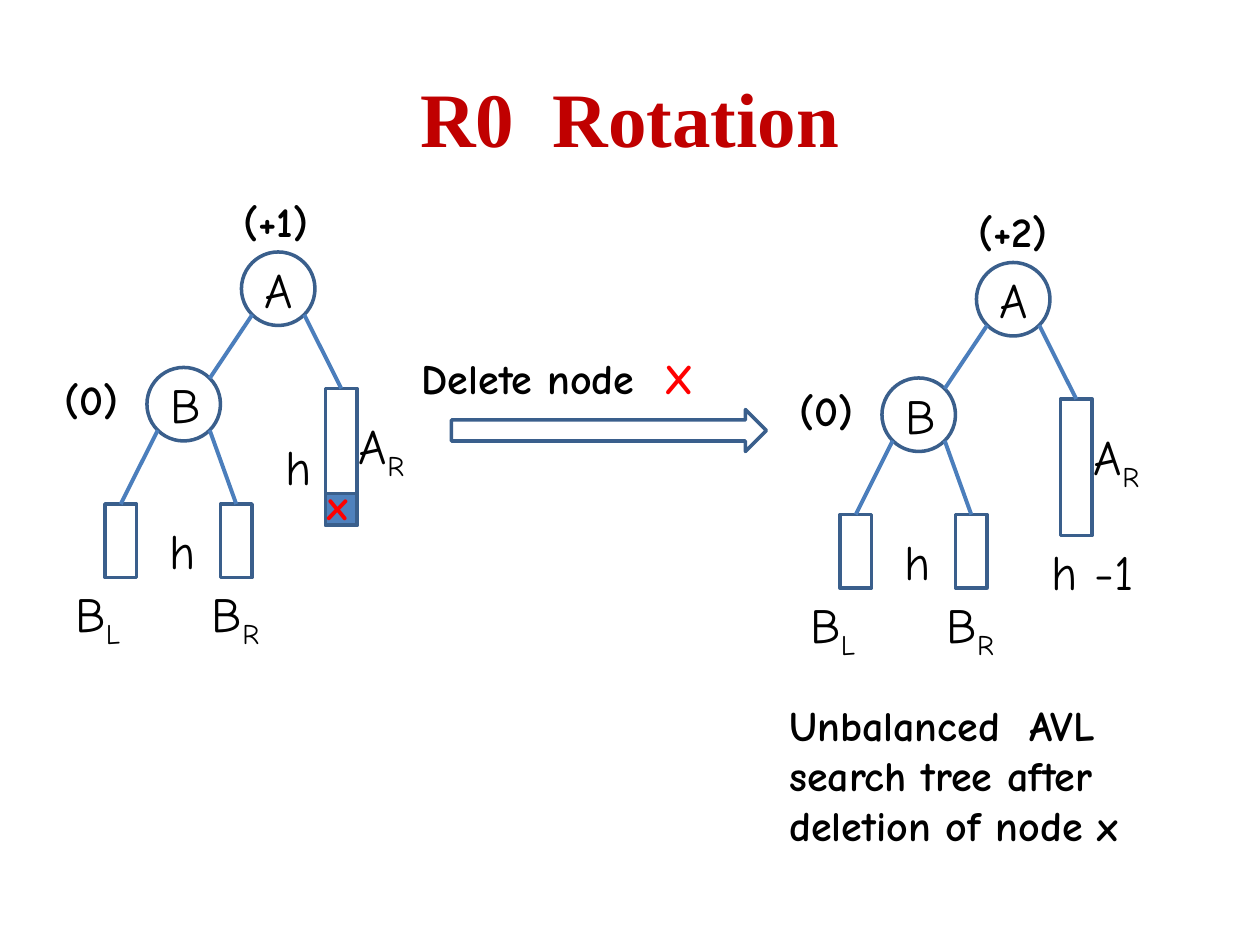
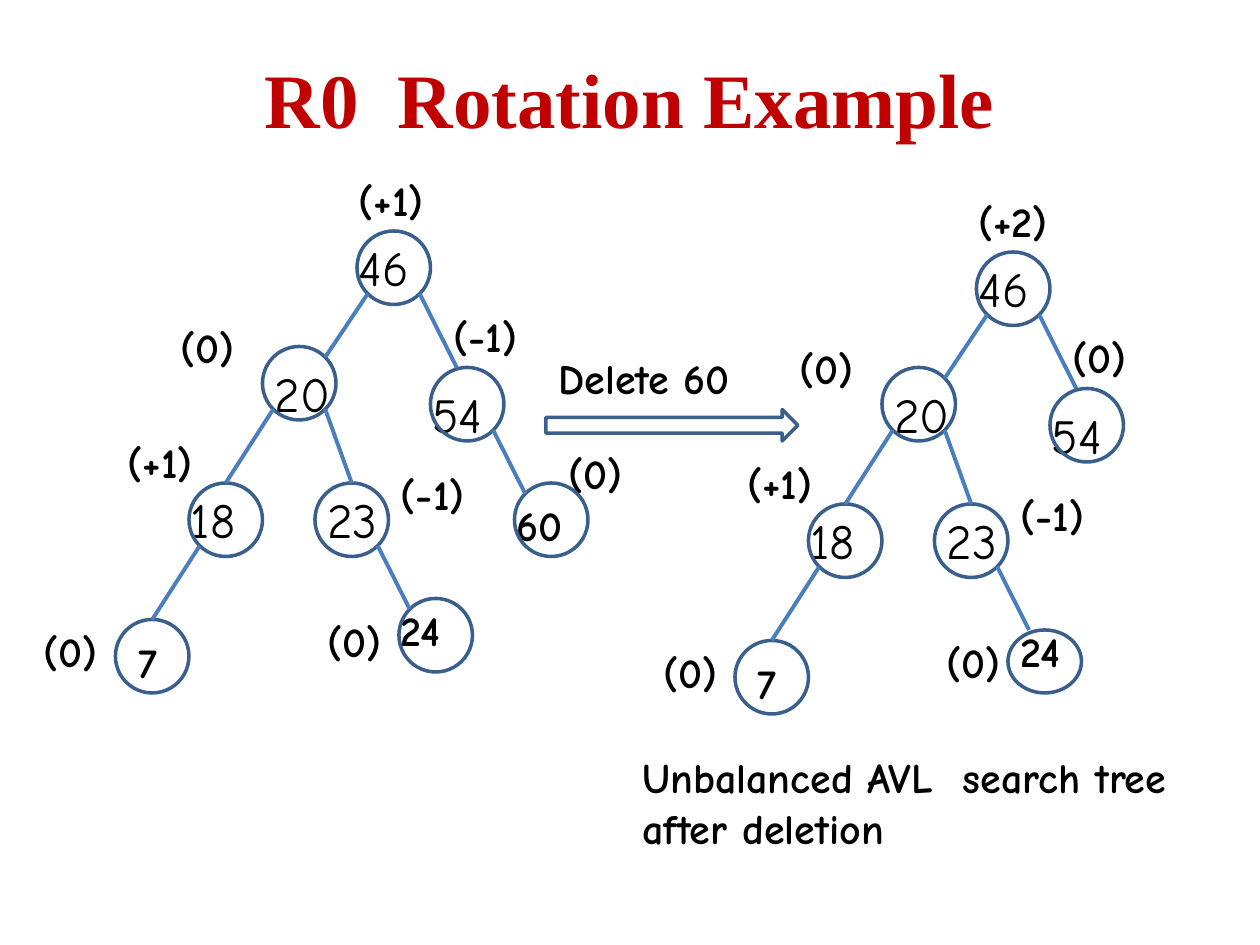
from pptx import Presentation
from pptx.dml.color import RGBColor
from pptx.enum.shapes import MSO_CONNECTOR, MSO_SHAPE as Preset
from pptx.enum.text import MSO_ANCHOR, PP_ALIGN
from pptx.oxml.ns import qn
from pptx.util import Pt
from lxml.etree import SubElement

TITLE_RED = RGBColor(0xC0, 0x00, 0x00)
RED = RGBColor(0xFF, 0x00, 0x00)
BLACK = RGBColor(0x00, 0x00, 0x00)
OUTLINE = RGBColor(0x3A, 0x5F, 0x8C)
EDGE = RGBColor(0x4B, 0x7E, 0xBC)
DELETED = RGBColor(0x4F, 0x81, 0xBD)
HAND, SERIF = "Comic Neue", "Times New Roman"
NODE, NOTE = 28, 24
D = 42
NEAR, FAR = 6.15, 35.85
TOP_LEFT, TOP_RIGHT, TOP = (NEAR, NEAR), (FAR, NEAR), (D / 2, 0)
BAR_TOP = (9, 0)


def outline(shapes, preset, x, y, w, h):
    shape = shapes.add_shape(preset, Pt(x), Pt(y), Pt(w), Pt(h))
    shape.shadow.inherit = False
    shape.fill.background()
    shape.line.color.rgb = OUTLINE
    shape.line.width = Pt(2)
    return shape


def write(shape, size, text, color=BLACK, baseline=None):
    shape.text_frame.word_wrap = True
    run = shape.text_frame.paragraphs[0].add_run()
    run.text = text
    run.font.name = HAND
    run.font.size = Pt(size)
    run.font.bold = size == NOTE
    run.font.color.rgb = color
    if baseline:
        run.font._element.set("baseline", str(baseline))


scheme_nodes = {
    "A": (Preset.OVAL, 138, 144, D, D),
    "B": (Preset.OVAL, 84, 210, D, D),
    "AR": (Preset.RECTANGLE, 186, 222, 18, 78),
    "BR": (Preset.RECTANGLE, 126, 288, 18, 42),
    "BL": (Preset.RECTANGLE, 60, 288, 18, 42),
}
scheme_edges = [
    ("A", NEAR, "B", TOP_RIGHT),
    ("B", NEAR, "BL", BAR_TOP),
    ("B", FAR, "BR", BAR_TOP),
    ("A", FAR, "AR", BAR_TOP),
]
scheme_labels = [
    (198, 234, 60, NODE, "A", "R"),
    (90, 294, 24, NODE, "h", ""),
    (36, 330, 60, NODE, "B", "L"),
    (114, 330, 60, NODE, "B", "R"),
    (30, 210, 48, NOTE, "(0)", ""),
]

example_nodes = {
    key: (Preset.OVAL, x, y, D, D)
    for key, x, y in [
        ("46", 204, 132), ("20", 150, 198), ("54", 246, 210),
        ("18", 108, 276), ("23", 180, 276), ("7", 66, 354),
    ]
}
example_edges = [
    ("46", NEAR, "20", TOP_RIGHT),
    ("46", FAR, "54", (15, 0)),
    ("20", NEAR, "18", TOP),
    ("20", FAR, "23", TOP),
    ("18", NEAR, "7", TOP),
]
example_labels = [
    (198, 132, 78, NODE, "46", ""),
    (150, 204, 54, NODE, "20", ""),
    (240, 216, 90, NODE, "54", ""),
    (102, 276, 54, NODE, "18", ""),
    (180, 276, 54, NODE, "23", ""),
    (72, 360, 42, NOTE, "7", ""),
    (222, 342, 48, NOTE, "24", ""),
    (96, 180, 66, NOTE, "(0)", ""),
    (66, 246, 90, NOTE, "(+1)", ""),
    (222, 264, 90, NOTE, "(-1)", ""),
    (18, 354, 90, NOTE, "(0)", ""),
    (180, 348, 48, NOTE, "(0)", ""),
]

scheme_before = (
    (0, 0), scheme_nodes, scheme_edges,
    scheme_labels + [(132, 108, 90, NOTE, "(+1)", ""), (156, 246, 24, NODE, "h", "")],
)
scheme_after = (
    (420, 6), scheme_nodes, scheme_edges,
    scheme_labels + [
        (132, 108, 90, NOTE, "(+2)", ""),
        (174, 300, 90, NODE, "h -1", ""),
        (24, 390, 228, NOTE, "Unbalanced  AVL search tree after deletion of node x", ""),
    ],
)
example_before = (
    (0, 0),
    example_nodes | {"24": (Preset.OVAL, 228, 342, D, D), "60": (Preset.OVAL, 294, 276, D, D)},
    example_edges + [("54", FAR, "60", TOP_LEFT), ("23", FAR, "24", TOP_LEFT)],
    example_labels + [
        (198, 96, 78, NOTE, "(+1)", ""),
        (252, 174, 90, NOTE, "(-1)", ""),
        (288, 282, 54, NOTE, "60", ""),
        (318, 252, 90, NOTE, "(0)", ""),
    ],
)
example_after = (
    (354, 12),
    example_nodes | {"24": (Preset.OVAL, 222, 348, D, 36)},
    example_edges + [("23", FAR, "24", (12, 0))],
    example_labels + [
        (198, 96, 78, NOTE, "(+2)", ""),
        (252, 174, 54, NOTE, "(0)", ""),
        (6, 414, 330, NOTE, "Unbalanced AVL  search tree after deletion", ""),
    ],
)

deck = Presentation()
deck.slide_width, deck.slide_height = Pt(720), Pt(540)

pages = [
    ("R0  Rotation", 90, (258, 234, 180, 24), (234, 210), "Delete node  ", "X",
     [scheme_before, scheme_after]),
    ("R0  Rotation Example", 68.4, (312, 234, 144, 18), (312, 174), "Delete 60", "",
     [example_before, example_after]),
]

for heading, heading_height, arrow, (action_x, action_w), action, target, trees in pages:
    slide = deck.slides.add_slide(deck.slide_layouts[5])
    title = slide.shapes.title
    title.left, title.top, title.width, title.height = Pt(36), Pt(21.6), Pt(648), Pt(heading_height)
    title.text_frame.vertical_anchor = MSO_ANCHOR.MIDDLE
    title.text_frame.paragraphs[0].alignment = PP_ALIGN.CENTER
    heading_run = title.text_frame.paragraphs[0].add_run()
    heading_run.text = heading
    heading_run.font.name = SERIF
    heading_run.font.size = Pt(44)
    heading_run.font.bold = True
    heading_run.font.color.rgb = TITLE_RED

    outline(slide.shapes, Preset.RIGHT_ARROW, *arrow)
    deletion = slide.shapes.add_textbox(Pt(action_x), Pt(198), Pt(action_w), Pt(36))
    write(deletion, NOTE, action)
    if target:
        write(deletion, NOTE, target, RED)

    for (shift_x, shift_y), nodes, edges, labels in trees:
        tree = slide.shapes.add_group_shape().shapes
        for x, y, w, size, text, subscript in labels:
            label = tree.add_textbox(Pt(x + shift_x), Pt(y + shift_y), Pt(w), Pt(size * 1.5))
            write(label, size, text)
            if subscript:
                write(label, size, subscript, baseline=-25000)

        drawn = {}
        for key, (preset, x, y, w, h) in nodes.items():
            drawn[key] = outline(tree, preset, x + shift_x, y + shift_y, w, h)
            if key in ("A", "B"):
                write(drawn[key], NODE, key)
                drawn[key].text_frame.vertical_anchor = MSO_ANCHOR.MIDDLE
                drawn[key].text_frame.paragraphs[0].alignment = PP_ALIGN.CENTER

        for parent, exit_x, child, (dx, dy) in edges:
            start, end = drawn[parent], drawn[child]
            branch = tree.add_connector(
                MSO_CONNECTOR.STRAIGHT,
                start.left + Pt(exit_x), start.top + Pt(FAR),
                end.left + Pt(dx), end.top + Pt(dy),
            )
            branch.line.color.rgb = EDGE
            branch.line.width = Pt(2.25)
            SubElement(branch._element.spPr, qn("a:effectLst"))
            if (dx, dy) in (TOP, BAR_TOP):
                branch.end_connect(end, 0)

scheme = deck.slides[0].shapes
deleted_node = outline(scheme, Preset.RECTANGLE, 186, 282, 18, 18)
deleted_node.fill.solid()
deleted_node.fill.fore_color.rgb = DELETED
write(scheme.add_textbox(Pt(180), Pt(270), Pt(36), Pt(36)), NOTE, "x", RED)

deck.save("out.pptx")
